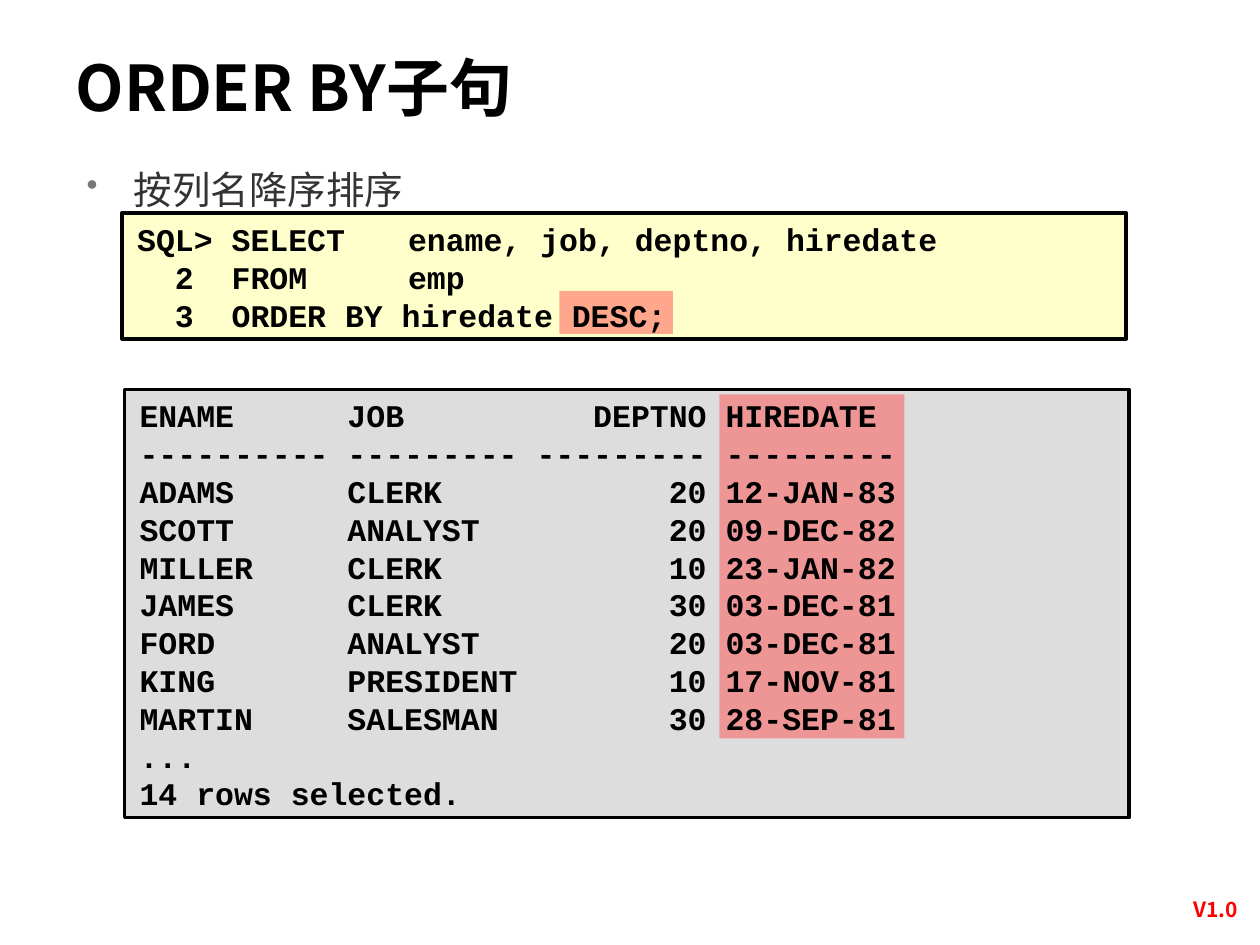
from lxml.etree import SubElement
from pptx import Presentation
from pptx.dml.color import RGBColor
from pptx.enum.shapes import MSO_SHAPE as Shape
from pptx.enum.text import MSO_ANCHOR as Anchor, MSO_AUTO_SIZE as AutoSize, PP_ALIGN as Align
from pptx.oxml.ns import qn
from pptx.util import Pt

BLACK = RGBColor(0x00, 0x00, 0x00)
DARK_GRAY = RGBColor(0x33, 0x33, 0x33)
RED = RGBColor(0xFF, 0x00, 0x00)
HIGHLIGHT = RGBColor(0xFF, 0x50, 0x50)
PALE_YELLOW = RGBColor(0xFF, 0xFF, 0xCC)
LIGHT_GRAY = RGBColor(0xDD, 0xDD, 0xDD)
SANS = "Noto Sans CJK SC"
MONO = "Courier New"

QUERY = """SQL> SELECT  \t ename, job, deptno, hiredate
  2  FROM    \t emp
  3  ORDER BY hiredate DESC;"""

RESULT = """ENAME      JOB          DEPTNO HIREDATE
---------- --------- --------- ---------
ADAMS      CLERK            20 12-JAN-83
SCOTT      ANALYST          20 09-DEC-82
MILLER     CLERK            10 23-JAN-82
JAMES      CLERK            30 03-DEC-81
FORD       ANALYST          20 03-DEC-81
KING       PRESIDENT        10 17-NOV-81
MARTIN     SALESMAN         30 28-SEP-81
...
14 rows selected."""


def style(para, name, size, color, bold=True):
    font = para.font
    font.name, font.size, font.bold = name, Pt(size), bold
    font.color.rgb = color
    defaults = para._p.pPr.find(qn("a:defRPr"))
    SubElement(defaults, qn("a:ea"), typeface=name)


def add_panel(left, top, width, height, fill):
    panel = page.shapes.add_shape(Shape.RECTANGLE, Pt(left), Pt(top), Pt(width), Pt(height))
    panel.shadow.inherit = False
    panel.fill.solid()
    panel.fill.fore_color.rgb = fill
    return panel


deck = Presentation()
deck.slide_width, deck.slide_height = Pt(720), Pt(540)
page = deck.slides.add_slide(deck.slide_layouts[5])

# Title
title = page.shapes.title
title.left, title.top, title.width, title.height = Pt(36), Pt(21.6), Pt(624), Pt(55.4)
title.text_frame.text = "ORDER BY子句"
title.text_frame.auto_size = AutoSize.NONE
title.text_frame.vertical_anchor = Anchor.MIDDLE
para = title.text_frame.paragraphs[0]
para.alignment = Align.LEFT
style(para, SANS, 36, BLACK)

# Version label
box = page.shapes.add_textbox(Pt(666), Pt(509), Pt(57), Pt(21.6))
box.text_frame.text = "V1.0"
para = box.text_frame.paragraphs[0]
para.alignment = Align.CENTER
style(para, SANS, 12, RED)

# Framed panels behind the code
for left, top, height, fill in [(69.8, 121.7, 72, PALE_YELLOW), (71.3, 222.5, 244.8, LIGHT_GRAY)]:
    panel = add_panel(left, top, 573.8, height, fill)
    panel.line.color.rgb = BLACK
    panel.line.width = Pt(2)

# Half-transparent highlights on DESC and the HIREDATE column
for bounds in [(319.7, 166.3, 64.8, 24.5), (411.1, 225.4, 105.8, 196.6)]:
    mark = add_panel(*bounds, HIGHLIGHT)
    mark.line.fill.background()
    color = mark._element.spPr.find(qn("a:solidFill"))[0]
    SubElement(color, qn("a:alpha"), val="50000")

# Query and its result
for code, left, top, height in [(QUERY, 71.3, 121, 74.2), (RESULT, 72.7, 221.8, 247)]:
    box = page.shapes.add_textbox(Pt(left), Pt(top), Pt(576), Pt(height))
    frame = box.text_frame
    frame.word_wrap = True
    frame.vertical_anchor = Anchor.MIDDLE
    frame.text = code
    for para in frame.paragraphs:
        tabs = SubElement(para._p.get_or_add_pPr(), qn("a:tabLst"))
        SubElement(tabs, qn("a:tab"), pos=str(Pt(94.3)), algn="l")
        style(para, MONO, 18, BLACK)

# Bullet line
box = page.shapes.add_textbox(Pt(42.5), Pt(80.6), Pt(324), Pt(36))
box.text_frame.word_wrap = True
box.text_frame.text = "按列名降序排序"
para = box.text_frame.paragraphs[0]
para.line_spacing = 1.4
props = para._p.get_or_add_pPr()
props.set("marL", str(Pt(27)))
props.set("indent", str(-Pt(27)))
bullet_color = SubElement(props, qn("a:buClr"))
SubElement(bullet_color, qn("a:srgbClr"), val="777777")
SubElement(props, qn("a:buSzPct"), val="85000")
SubElement(props, qn("a:buChar"), char="•")
style(para, SANS, 22, DARK_GRAY, bold=False)

deck.save("out.pptx")
